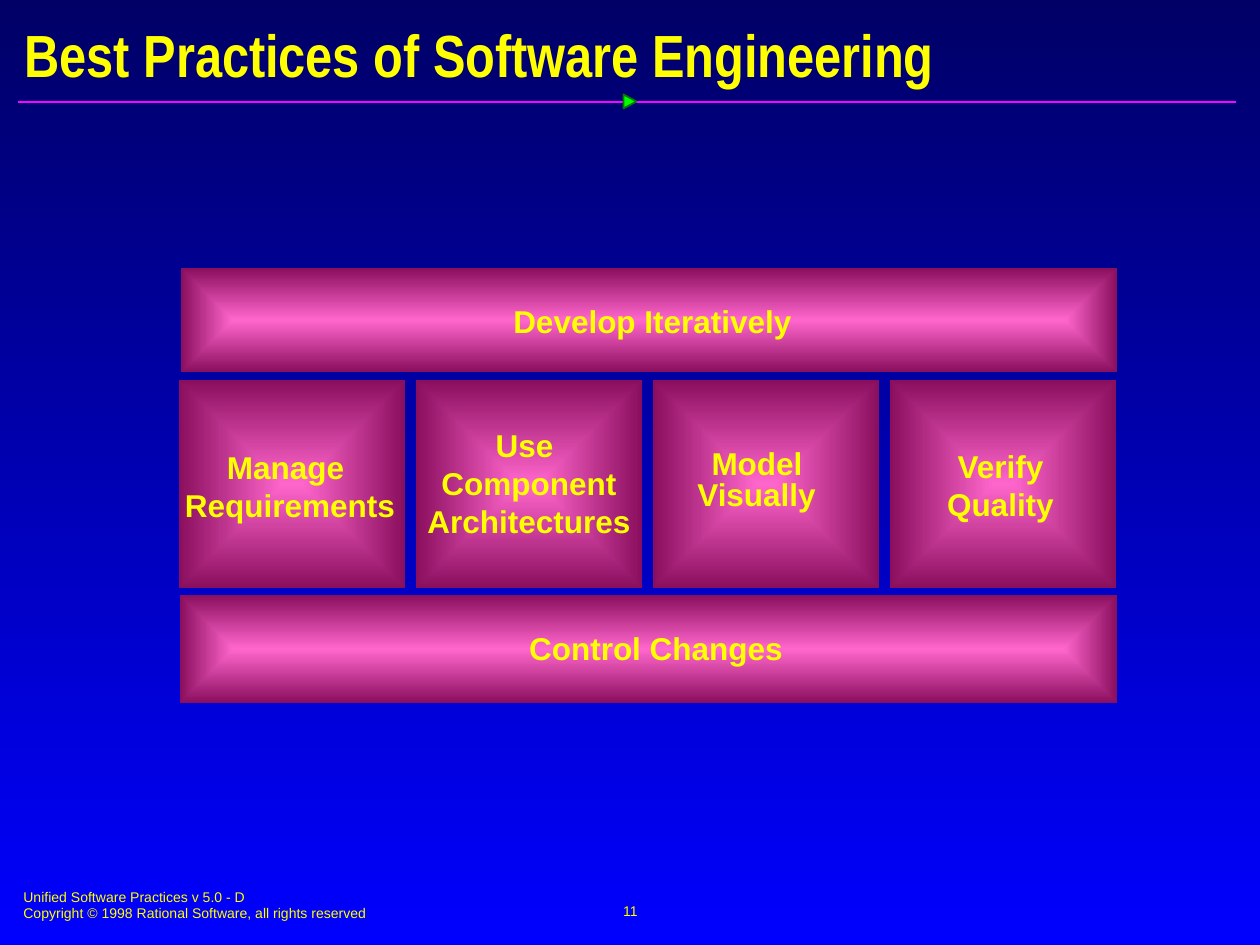
from lxml import etree
from pptx import Presentation
from pptx import util as u
from pptx.dml.color import RGBColor
from pptx.enum import shapes, text
from pptx.oxml import parse_xml
from pptx.oxml.ns import qn

PX = u.Inches(1) / 126
INK = {"text": "FFFF00", "rule": "FF01FF", "arrow": "00FF00", "edge": "037C03",
       "navy": "000066", "blue": "0000FF", "pink": "FF66CC", "plum": "8A0E5E"}
HUE = {name: RGBColor.from_string(code) for name, code in INK.items()}
NS = "http://schemas.openxmlformats.org/drawingml/2006/main"
GLOW = (f'<a:path xmlns:a="{NS}" path="rect">'
        '<a:fillToRect l="50000" t="50000" r="50000" b="50000"/></a:path>')


def emu(*spots):
    return [round(n * PX) for n in spots]


def write(frame, lines, size, face="Arial", bold=False, align="LEFT",
          anchor="TOP", wrap=False, space=None):
    """Fill a text frame; each line is a list of (wording, size, bold) or a string."""
    frame.word_wrap = wrap
    frame.auto_size = text.MSO_AUTO_SIZE.NONE
    frame.vertical_anchor = text.MSO_ANCHOR[anchor]
    for i, line in enumerate(lines):
        para = frame.add_paragraph() if i else frame.paragraphs[0]
        para.alignment = text.PP_ALIGN[align]
        para.line_spacing = space
        runs = [(line, size, bold)] if isinstance(line, str) else line
        for words, points, heavy in runs:
            run = para.add_run()
            run.text = words
            run.font.name = face
            run.font.size = u.Pt(points)
            run.font.bold = heavy
            run.font.color.rgb = HUE["text"]


deck = Presentation()
deck.slide_width, deck.slide_height = u.Inches(10), u.Inches(7.5)
slide = deck.slides.add_slide(deck.slide_layouts[5])
items = slide.shapes

back = slide.background.fill
back.gradient()
back.gradient_angle = 270
for stop, name in zip(back.gradient_stops, ("navy", "blue")):
    stop.color.rgb = HUE[name]

# Title and the rule under it
title = items.title
title.left, title.top, title.width, title.height = emu(12, 17, 1240, 73)
write(title.text_frame, ["Best Practices of Software Engineering"], 34,
      "Arial Narrow", True, anchor="MIDDLE", wrap=True)

rule = items.add_connector(shapes.MSO_CONNECTOR.STRAIGHT, *emu(18, 102, 1236, 102))
rule.line.color.rgb = HUE["rule"]
rule.line.width = u.Pt(1)
etree.SubElement(rule._element.spPr, qn("a:effectLst"))

arrow = items.add_shape(shapes.MSO_SHAPE.ISOSCELES_TRIANGLE, *emu(623, 95, 14, 13))
arrow.rotation = 90
arrow.shadow.inherit = False
arrow.fill.solid()
arrow.fill.fore_color.rgb = HUE["arrow"]
arrow.line.color.rgb = HUE["edge"]
arrow.line.width = u.Pt(1)

# Four practices between two bars
bars = [(181, 268, 936, 104), (180, 595, 937, 108)]
tiles = [(179 + 237 * i, 380, 226, 208) for i in range(4)]
for place in bars + tiles:
    block = items.add_shape(shapes.MSO_SHAPE.RECTANGLE, *emu(*place))
    block.shadow.inherit = False
    block.line.fill.background()
    block.fill.gradient()
    for stop, name in zip(block.fill.gradient_stops, ("pink", "plum")):
        stop.color.rgb = HUE[name]
    grad = block._element.spPr.find(qn("a:gradFill"))
    grad.replace(grad.find(qn("a:lin")), parse_xml(GLOW))

labels = [
    ((490, 297, 325, 47), ["Develop Iteratively"], "MIDDLE", None),
    ((515, 623, 282, 50), ["Control Changes"], "TOP", None),
    ((173, 442, 234, 88), ["Manage ", "Requirements"], "TOP", None),
    ((415, 420, 228, 126), ["Use ", "Component", "Architectures"], "TOP", None),
    ((706, 451, 111, 64), ["Model ", [("Visually", 18, True), (" ", 20, False)]],
     "MIDDLE", 0.75),
    ((935, 441, 131, 88), ["Verify", "Quality"], "TOP", None),
]
for place, lines, anchor, space in labels:
    box = items.add_textbox(*emu(*place))
    write(box.text_frame, lines, 18, bold=True, align="CENTER",
          anchor=anchor, space=space)

# Footer and page number
foot = items.add_textbox(*emu(11, 882, 643, 47))
write(foot.text_frame, ["Unified Software Practices v 5.0 - D",
                        "Copyright © 1998 Rational Software, all rights reserved"],
      8, wrap=True)
page = items.add_textbox(*emu(431, 879, 399, 63))
write(page.text_frame, ["11"], 8, align="CENTER", anchor="MIDDLE")

deck.save("out.pptx")
